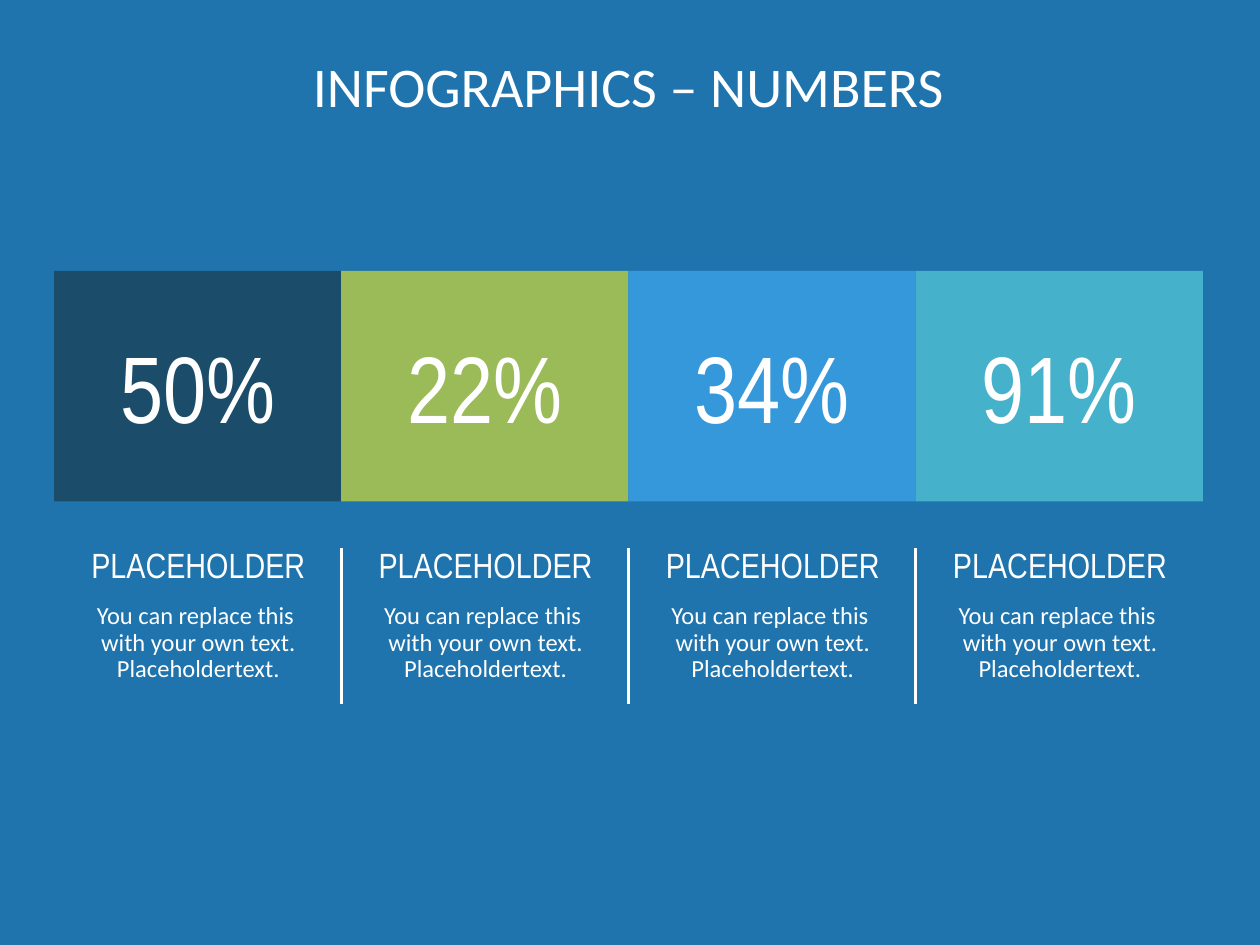
from pptx import Presentation
from pptx.dml.color import RGBColor
from pptx.enum.shapes import MSO_CONNECTOR, MSO_SHAPE
from pptx.enum.text import MSO_ANCHOR, MSO_AUTO_SIZE, PP_ALIGN
from pptx.oxml.ns import qn
from pptx.util import Cm, Pt
from lxml import etree

RECT = MSO_SHAPE.RECTANGLE
LINE = MSO_CONNECTOR.STRAIGHT
TOP, MIDDLE = MSO_ANCHOR.TOP, MSO_ANCHOR.MIDDLE
CENTER = PP_ALIGN.CENTER
FIXED = MSO_AUTO_SIZE.NONE

TITLE = "INFOGRAPHICS – NUMBERS"
HEAD = "PLACEHOLDER"
BODY = "You can replace this \nwith your own text. Placeholdertext."
ITEMS = [
    ("50%", "navy", HEAD, BODY),
    ("22%", "green", HEAD, BODY),
    ("34%", "blue", HEAD, BODY),
    ("91%", "teal", HEAD, BODY),
]

THEME = {
    "back": "1F74AD", "text": "FFFFFF",
    "navy": "1B4D6B", "green": "9BBB59", "blue": "3498DB", "teal": "45B1CB",
    "plain": "Calibri", "narrow": "Arial Narrow",
    "title": 32, "number": 54, "head": 20, "body": 14,
}

LEFT, STEP = 1.09, 5.79
BOX_TOP, BOX_H = 5.46, 4.65
TEXT_TOP, TEXT_W, TEXT_H = 11.05, 5.82, 3.4
RULE_H = 3.15


def color(name):
    return RGBColor.from_string(THEME[name])


def write(para, text, size, face, space=None, after=None):
    para.text = text
    para.alignment = CENTER
    if space is not None:
        para.line_spacing = space
    if after is not None:
        para.space_after = Pt(after)
    for run in para.runs:
        run.font.size = Pt(THEME[size])
        run.font.name = THEME[face]
        run.font.color.rgb = color("text")


def set_frame(frame, side, anchor):
    frame.word_wrap = True
    frame.auto_size = FIXED
    frame.vertical_anchor = anchor
    frame.margin_left = frame.margin_right = Cm(side)
    frame.margin_top = frame.margin_bottom = 0


def add_title(slide):
    title = slide.shapes.title
    title.left, title.top = Cm(LEFT), Cm(1.19)
    title.width, title.height = Cm(4 * STEP), Cm(3)
    set_frame(title.text_frame, 0, TOP)
    write(title.text_frame.paragraphs[0], TITLE, "title", "plain", space=0.9)


def add_box(slide, left, number, fill):
    box = slide.shapes.add_shape(RECT, Cm(left), Cm(BOX_TOP), Cm(STEP), Cm(BOX_H))
    box.shadow.inherit = False
    box.fill.solid()
    box.fill.fore_color.rgb = color(fill)
    box.line.fill.background()
    set_frame(box.text_frame, 0.25, MIDDLE)
    write(box.text_frame.paragraphs[0], number, "number", "narrow")


def add_note(slide, left, head, body):
    note = slide.shapes.add_textbox(Cm(left), Cm(TEXT_TOP), Cm(TEXT_W), Cm(TEXT_H))
    frame = note.text_frame
    set_frame(frame, 0.51, TOP)
    write(frame.paragraphs[0], head, "head", "narrow", space=0.9, after=10)
    write(frame.add_paragraph(), body, "body", "plain", space=0.9, after=10)


def add_rule(slide, left):
    rule = slide.shapes.add_connector(
        LINE, Cm(left), Cm(TEXT_TOP), Cm(left), Cm(TEXT_TOP + RULE_H))
    rule.line.color.rgb = color("text")
    rule.line.width = Pt(1.5)
    etree.SubElement(rule._element.spPr, qn("a:effectLst"))


def main():
    deck = Presentation()
    deck.slide_width, deck.slide_height = Cm(25.4), Cm(19.05)
    slide = deck.slides.add_slide(deck.slide_layouts[5])
    slide.background.fill.solid()
    slide.background.fill.fore_color.rgb = color("back")
    add_title(slide)
    for col, (number, fill, head, body) in enumerate(ITEMS):
        left = LEFT + col * STEP
        add_box(slide, left, number, fill)
        add_note(slide, left, head, body)
        if col:
            add_rule(slide, left)
    deck.save("out.pptx")


if __name__ == "__main__":
    main()
